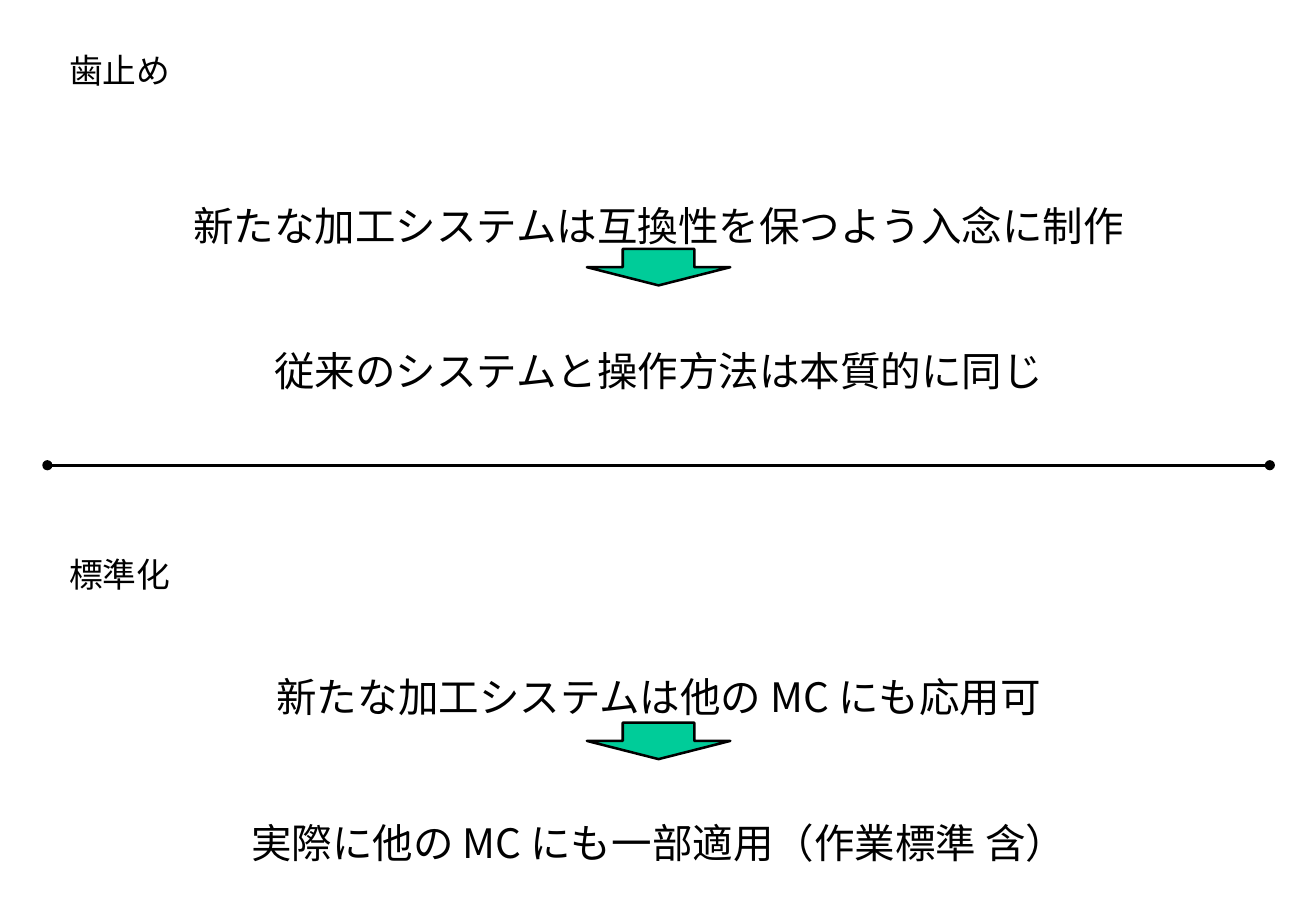
from lxml import etree
from pptx import Presentation
from pptx.dml.color import RGBColor
from pptx.enum.shapes import MSO_CONNECTOR, MSO_SHAPE
from pptx.enum.text import MSO_AUTO_SIZE, PP_ALIGN
from pptx.oxml.ns import qn
from pptx.util import Inches, Pt

BLACK = RGBColor(0x00, 0x00, 0x00)
GREEN = RGBColor(0x00, 0xCC, 0x99)
LEFT, CENTER = PP_ALIGN.LEFT, PP_ALIGN.CENTER
DOWN_ARROW = MSO_SHAPE.DOWN_ARROW
STRAIGHT = MSO_CONNECTOR.STRAIGHT
GROW = MSO_AUTO_SIZE.SHAPE_TO_FIT_TEXT

SECTIONS = [
    ("歯止め", 0.36, (1.44, 0.8, 7.96, 2.32), 2.05,
     ["新たな加工システムは互換性を保つよう入念に制作",
      "従来のシステムと操作方法は本質的に同じ"]),
    ("標準化", 4.51, (1.86, 4.68, 7.12, 2.53), 5.95,
     ["新たな加工システムは他の MC にも応用可",
      "実際に他の MC にも一部適用（作業標準 含）"]),
]


class SlideBuilder:
    font = "Noto Sans CJK JP"

    def __init__(self, page):
        self.page = page

    def text(self, place, lines, size, align=LEFT, spacing=None):
        box = self.page.shapes.add_textbox(*map(Inches, place))
        frame = box.text_frame
        frame.margin_left = frame.margin_right = Inches(0.11)
        frame.margin_top = frame.margin_bottom = Inches(0.05)
        frame.word_wrap = False
        frame.auto_size = GROW
        frame.text = "\n".join(lines)
        for para in frame.paragraphs:
            para.alignment = align
            para.line_spacing = spacing
            for span in para.runs:
                span.font.size = Pt(size)
                span.font.name = self.font
                span.font.color.rgb = BLACK
                east_asian = etree.SubElement(span.font._element, qn("a:ea"))
                east_asian.set("typeface", self.font)

    def arrow(self, place):
        shape = self.page.shapes.add_shape(DOWN_ARROW, *map(Inches, place))
        shape.shadow.inherit = False
        shape.fill.solid()
        shape.fill.fore_color.rgb = GREEN
        shape.line.color.rgb = BLACK
        shape.line.width = Pt(1.5)

    def divider(self, left, right, top):
        line = self.page.shapes.add_connector(
            STRAIGHT, Inches(left), Inches(top), Inches(right), Inches(top))
        line.line.color.rgb = BLACK
        line.line.width = Pt(2)
        outline = line.line._get_or_add_ln()
        for end in ("a:headEnd", "a:tailEnd"):
            etree.SubElement(outline, qn(end)).set("type", "oval")
        etree.SubElement(line._element.spPr, qn("a:effectLst"))


def main():
    deck = Presentation()
    deck.slide_width = Inches(10.83)
    deck.slide_height = Inches(7.5)
    builder = SlideBuilder(deck.slides.add_slide(deck.slide_layouts[6]))
    for heading, heading_top, body_place, arrow_top, body in SECTIONS:
        builder.text((0.46, heading_top, 1.06, 0.44), [heading], 20)
        builder.text(body_place, body, 24, CENTER, Pt(86.5))
        builder.arrow((4.83, arrow_top, 1.18, 0.3))
    builder.divider(0.39, 10.45, 3.83)
    deck.save("out.pptx")


if __name__ == "__main__":
    main()
